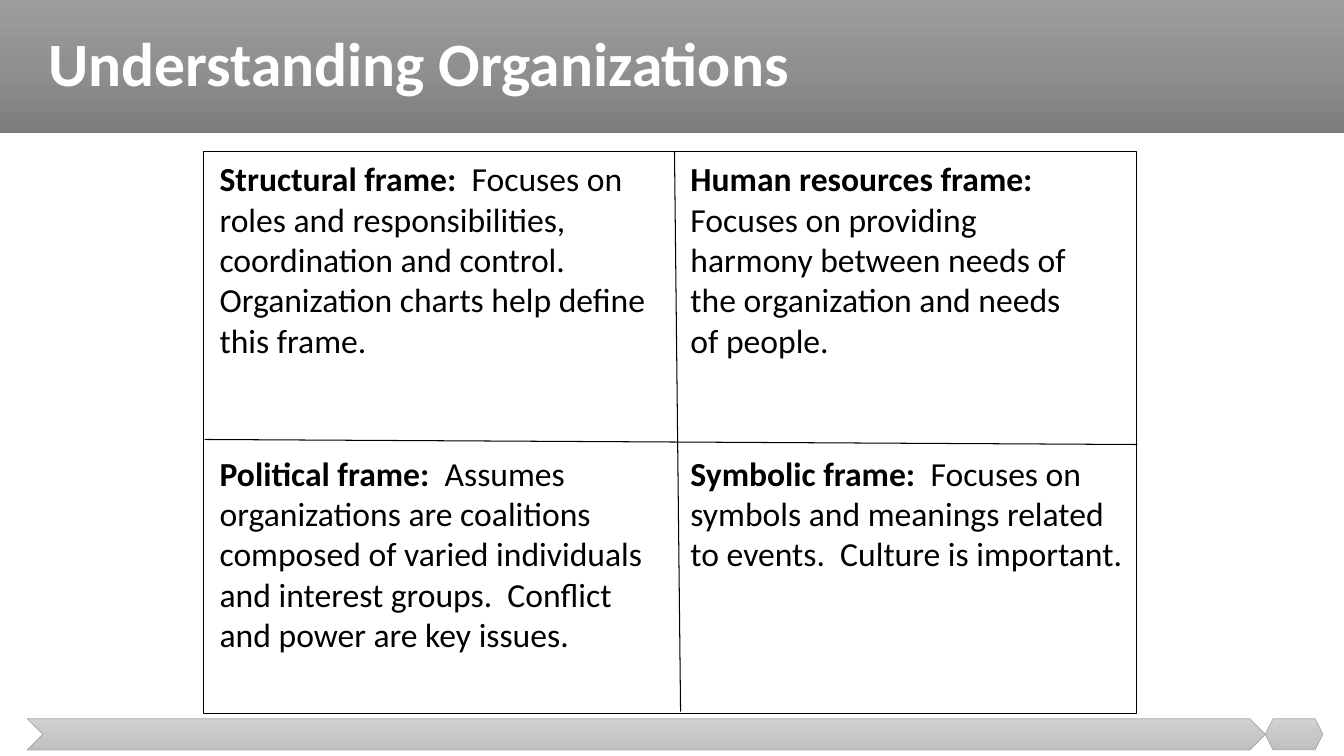
from copy import deepcopy
from lxml.etree import SubElement
from pptx import Presentation
from pptx.dml.color import RGBColor
from pptx.enum.shapes import MSO_CONNECTOR, MSO_SHAPE
from pptx.enum.text import MSO_ANCHOR, PP_ALIGN
from pptx.oxml.ns import qn
from pptx.util import Inches, Pt

WIDTH, HEIGHT = 13.33, 7.5
FONT = "Calibri"
COLORS = {
    "ink": "000000",
    "title": "FFFFFF",
    "edge": "A5A5A5",
    "banner": ["9D9D9D", "909090", "7C7C7C"],
    "footer": ["D2D2D2", "C8C8C8", "C0C0C0"],
}

deck = Presentation()
deck.slide_width, deck.slide_height = Inches(WIDTH), Inches(HEIGHT)
page = deck.slides.add_slide(deck.slide_layouts[6])


def add_block(kind, left, top, width, height, gradient=None, edge=None, weight=0.5):
    """Add a preset shape with a vertical three-stop gradient or no fill."""
    block = page.shapes.add_shape(
        kind, Inches(left), Inches(top), Inches(width), Inches(height))
    block.shadow.inherit = False
    if gradient:
        block.fill.gradient()
        block.fill.gradient_angle = 270
        stop_list = block._element.spPr.find(qn("a:gradFill")).find(qn("a:gsLst"))
        stop_list.insert(1, deepcopy(stop_list[0]))
        for index, stop in enumerate(block.fill.gradient_stops):
            stop.position = index / 2
            stop.color.rgb = RGBColor.from_string(gradient[index])
    else:
        block.fill.background()
    if edge:
        block.line.color.rgb = RGBColor.from_string(edge)
        block.line.width = Pt(weight)
    else:
        block.line.fill.background()


def add_text(left, top, width, height, size, color, spans):
    """Add a wrapping text box; spans are (text, bold) pairs."""
    box = page.shapes.add_textbox(
        Inches(left), Inches(top), Inches(width), Inches(height))
    box.text_frame.word_wrap = True
    para = box.text_frame.paragraphs[0]
    para.alignment = PP_ALIGN.LEFT
    para.font.name, para.font.size = FONT, Pt(size)
    para.font.color.rgb = RGBColor.from_string(color)
    for text, bold in spans:
        span = para.add_run()
        span.text = text
        span.font.bold = bold
    return box


# Banner and footer arrows
banner_height = 1.32
add_block(MSO_SHAPE.RECTANGLE, 0, 0, WIDTH, banner_height, COLORS["banner"])
for kind, left, width in [(MSO_SHAPE.CHEVRON, 0.27, 12.28),
                          (MSO_SHAPE.HEXAGON, 12.55, 0.57)]:
    add_block(kind, left, 7.13, width, 0.31, COLORS["footer"], COLORS["edge"])

# Title
title = add_text(0.38, 0, 12.74, banner_height, 44, COLORS["title"],
                 [("Understanding Organizations", True)])
title.text_frame.vertical_anchor = MSO_ANCHOR.MIDDLE
title.text_frame.paragraphs[0].line_spacing = 0.9

# Frame and its two dividers
add_block(MSO_SHAPE.RECTANGLE, 2.02, 1.5, 9.25, 5.58, edge=COLORS["ink"], weight=0.75)
for ends in [(6.69, 1.51, 6.75, 7.06), (2.03, 4.36, 11.28, 4.41)]:
    divider = page.shapes.add_connector(
        MSO_CONNECTOR.STRAIGHT, *[Inches(end) for end in ends])
    divider.line.color.rgb = RGBColor.from_string(COLORS["ink"])
    divider.line.width = Pt(0.75)
    SubElement(divider._element.spPr, qn("a:effectLst"))

# Four frames on a two by two grid
columns, rows = [2.08, 6.75], [1.52, 4.44]
quadrants = [
    (4.5, 2.12, "Structural frame:",
     "  Focuses on roles and responsibilities, coordination and control. "
     "Organization charts help define this frame."),
    (3.92, 2.12, "Human resources frame:",
     "  Focuses on providing harmony between needs of the organization "
     "and needs of people."),
    (4.58, 2.12, "Political frame:",
     "  Assumes organizations are coalitions composed of varied individuals "
     "and interest groups.  Conflict and power are key issues."),
    (4.5, 1.72, "Symbolic frame:",
     "  Focuses on symbols and meanings related to events.  Culture is important."),
]
for index, (width, height, heading, body) in enumerate(quadrants):
    add_text(columns[index % 2], rows[index // 2], width, height, 24,
             COLORS["ink"], [(heading, True), (body, False)])

deck.save("out.pptx")
